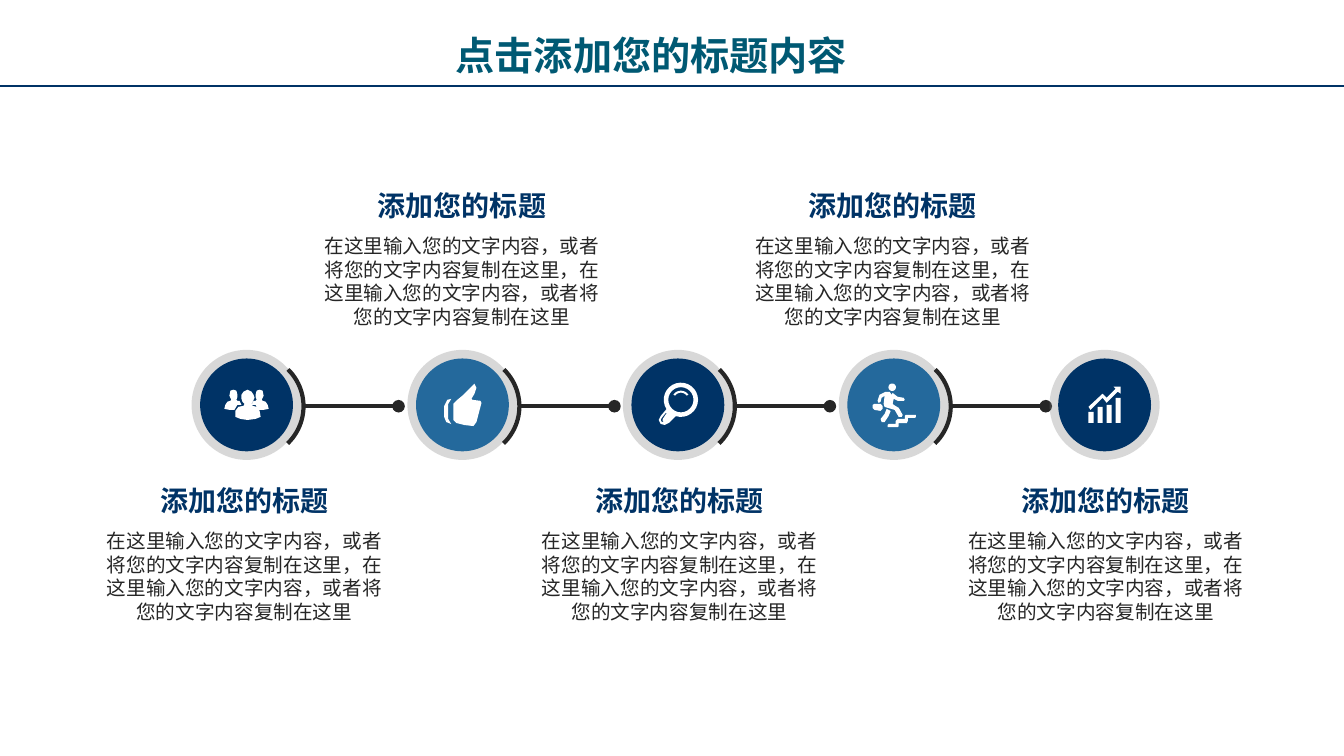
from math import cos, radians, sin

from lxml.etree import SubElement
from pptx import Presentation
from pptx.dml.color import RGBColor
from pptx.enum.shapes import MSO_CONNECTOR as Connector, MSO_SHAPE as Shape
from pptx.enum.text import MSO_ANCHOR as Anchor, MSO_AUTO_SIZE as AutoSize, PP_ALIGN as Align
from pptx.oxml.ns import qn
from pptx.util import Emu, Inches, Pt

COLUMNS, ROWS = 160, 90  # square cells, twelve to the inch
CELL = Inches(1 / 12)
ICON_UNIT = 0.12  # cells per icon unit

NAVY, BLUE, TEAL = "003366", "24699C", "005973"
DARK, GREY, WHITE = "262626", "808080", "FFFFFF"
HEADING = "添加您的标题"
BODY = "在这里输入您的文字内容，或者将您的文字内容复制在这里，在这里输入您的文字内容，或者将您的文字内容复制在这里"


def cells(count):
    return Emu(round(count * CELL))


def color(hex_code):
    return RGBColor.from_string(hex_code)


def arc(x, y, radius, start=0, end=360, steps=24):
    """Points along a circular arc, angles in degrees clockwise from the right."""
    angles = [radians(start + (end - start) * i / steps) for i in range(steps + 1)]
    return [(x + radius * cos(angle), y + radius * sin(angle)) for angle in angles]


def bar(left, top, width=5, bottom=18):
    return [(left, top), (left + width, top), (left + width, bottom), (left, bottom)]


# Icon outlines, measured from the centre of their disc
SIDE_PERSON = [
    (-19, -3), (-16, -4), (-15, -5), (-17, -9), (-16, -14), (-13, -15), (-10, -14),
    (-9, -10), (-9, -8), (-10, -5), (-9, -4), (-7, -4), (-6, -2), (-5, 0), (-9, 0),
    (-12, 5), (-17, 5), (-22, 4), (-21, 0)]
MIDDLE_PERSON = [
    (-8, 2), (-11, 6), (-11, 12), (-6, 14), (1, 15), (9, 14), (14, 12), (13, 6), (10, 2),
    (6, 1), (5, -1), (7, -5), (8, -7), (7, -10), (5, -13), (1, -15), (-3, -13), (-5, -10),
    (-5, -6), (-4, -3), (-2, -1), (-3, 1)]
PEOPLE = [SIDE_PERSON, MIDDLE_PERSON, [(-x, y) for x, y in SIDE_PERSON]]

THUMB = [
    [(-11, -6), (-15, -5), (-18, 1), (-18, 12), (-16, 17), (-11, 19), (-14, 14), (-14, -1)],
    [(9, -6), (12, -11), (14, -17), (12, -21), (8, -17), (1, -10), (-5, -5), (-9, -1),
     (-9, 15), (-6, 18), (2, 20), (11, 21), (14, 17), (19, -2), (18, -4), (10, -5)]]

MAGNIFIER = [
    arc(3, -5, 17, 147, 467) + [(-9, 18), (-13, 20), (-17, 19), (-19, 15), (-17, 11)],
    arc(3, -5, 12.5),
    arc(3, -5, 9, 215, 325) + arc(3, -5, 7, 325, 215),
    [(-11, 8), (-15, 14), (-15, 16), (-14, 17), (-16, 17), (-17, 15), (-16, 13), (-12, 8)]]

RUNNER = [
    [(-5, 19), (2, 19), (2, 16), (4, 14), (11, 14), (11, 11), (12, 10), (22, 10), (22, 12),
     (21, 13), (14, 13), (14, 16), (13, 18), (5, 18), (5, 21), (4, 22), (-6, 22), (-6, 20)],
    [(-19, 5), (-13, 6), (-11, 4), (-11, 1), (-13, -1), (-19, -1), (-21, 0), (-21, 3)],
    [(-13, 14), (-9, 9), (-7, 4), (-3, 6), (-5, 11), (-9, 17), (-12, 17)],
    arc(-1.5, -17.5, 3.7),
    [(-1, -12), (0, -11), (4, -8), (10, -7), (11, -5), (10, -4), (4, -4), (0, -6), (-1, -1),
     (0, 0), (5, 3), (9, 10), (8, 12), (5, 12), (1, 5), (-9, 2), (-10, -1), (-9, -9),
     (-12, -7), (-13, -3), (-15, -2), (-16, -4), (-14, -10), (-8, -13), (-4, -13), (-2, -10)]]

CHART = [
    [(9, -18), (11, -16), (2, -7), (-2, -11), (-16, 2), (-14, 5), (-2, -7), (2, -2),
     (13, -13), (16, -11), (16, -18)],
    *[bar(-16 + 9 * i, top) for i, top in enumerate((7, 2, 0, -7))]]

# Disc centre and caption centre in columns, then the icon
STEPS = [(29.35, 29.1, PEOPLE), (55.05, 55, THUMB), (80.7, 80.9, MAGNIFIER),
         (106.4, 106.3, RUNNER), (131.5, 131.65, CHART)]
DISC_ROW, LINK_ROW = 48.2, 48.36
CAPTION_ROWS = (56.9, 21.8)  # below the discs, above the discs


class Page:
    """Draws on one slide in grid cells with one font."""

    font_name = "Noto Sans CJK SC"
    line_height = 1.21

    def __init__(self, deck):
        self.slide = deck.slides.add_slide(deck.slide_layouts[5])
        self.shapes = self.slide.shapes

    def set_text(self, box, text, size, hex_code, bold=False, align=Align.CENTER):
        frame = box.text_frame
        frame.text = text
        frame.word_wrap = True
        frame.auto_size = AutoSize.NONE
        frame.vertical_anchor = Anchor.TOP
        para = frame.paragraphs[0]
        para.alignment = align
        para.line_spacing = Pt(size * self.line_height)
        span = para.runs[0]
        span.font.name, span.font.size, span.font.bold = self.font_name, Pt(size), bold
        span.font.color.rgb = color(hex_code)
        east_asian = SubElement(span.font._element, qn("a:ea"))
        east_asian.set("typeface", self.font_name)

    def title(self, text, left, top, width, height):
        box = self.shapes.title
        box.left, box.top, box.width, box.height = map(cells, (left, top, width, height))
        self.set_text(box, text, 28, TEAL, True, Align.LEFT)

    def text(self, text, center, top, width, height, size, hex_code, bold=False):
        box = self.shapes.add_textbox(*map(cells, (center - width / 2, top, width, height)))
        self.set_text(box, text, size, hex_code, bold)

    def caption(self, center, top):
        self.text(HEADING, center, top, 26, 5.3, 20, NAVY, True)
        self.text(BODY, center, top + 5.45, 36.7, 12.5, 14, DARK)

    def round_shape(self, kind, x, y, size):
        shape = self.shapes.add_shape(
            kind, *map(cells, (x - size / 2, y - size / 2, size, size)))
        shape.shadow.inherit = False
        return shape

    def disc(self, x, y, size, hex_code, opacity=100):
        disc = self.round_shape(Shape.OVAL, x, y, size)
        disc.fill.solid()
        disc.fill.fore_color.rgb = color(hex_code)
        disc.line.fill.background()
        if opacity < 100:
            tone = disc._element.spPr.find(".//" + qn("a:srgbClr"))
            SubElement(tone, qn("a:alpha")).set("val", str(opacity * 1000))

    def bracket(self, x, y, size):
        """Arc that hugs the right side of a disc."""
        bracket = self.round_shape(Shape.ARC, x, y, size)
        bracket.rotation = 270
        bracket.adjustments[0], bracket.adjustments[1] = 26.57, 81.76
        bracket.fill.background()
        bracket.line.color.rgb = color(DARK)
        bracket.line.width = Pt(3)

    def line(self, start, end, row, hex_code, weight, dot=False):
        line = self.shapes.add_connector(
            Connector.STRAIGHT, *map(cells, (start, row, end, row)))
        line.line.color.rgb = color(hex_code)
        line.line.width = Pt(weight)
        outline = line._element.spPr
        if dot:
            SubElement(outline.find(qn("a:ln")), qn("a:tailEnd")).set("type", "oval")
        SubElement(outline, qn("a:effectLst"))

    def icon(self, x, y, contours):
        builder = None
        for contour in contours:
            points = [tuple(cells(value * ICON_UNIT) for value in point) for point in contour]
            if builder is None:
                builder = self.shapes.build_freeform(*points[0])
            else:
                builder.move_to(*points[0])
            builder.add_line_segments(points[1:], close=True)
        icon = builder.convert_to_shape(cells(x), cells(y))
        icon.shadow.inherit = False
        icon.fill.solid()
        icon.fill.fore_color.rgb = color(WHITE)
        icon.line.fill.background()


def main():
    deck = Presentation()
    deck.slide_width, deck.slide_height = cells(COLUMNS), cells(ROWS)
    page = Page(deck)
    page.line(0, COLUMNS, 10.2, NAVY, 1.5)
    page.title("点击添加您的标题内容", 53.05, 3.1, 54, 6.8)
    for index, (x, caption_center, icon) in enumerate(STEPS):
        above = index % 2
        page.disc(x, DISC_ROW, 13.1, GREY, 30)
        page.disc(x, DISC_ROW, 11.05, BLUE if above else NAVY)
        page.icon(x, DISC_ROW, icon)
        if index < len(STEPS) - 1:
            page.bracket(x + 0.66, LINK_ROW, 12.24)
            page.line(x + 7, x + 18.1, LINK_ROW, DARK, 3, dot=True)
        page.caption(caption_center, CAPTION_ROWS[above])
    deck.save("out.pptx")


if __name__ == "__main__":
    main()
